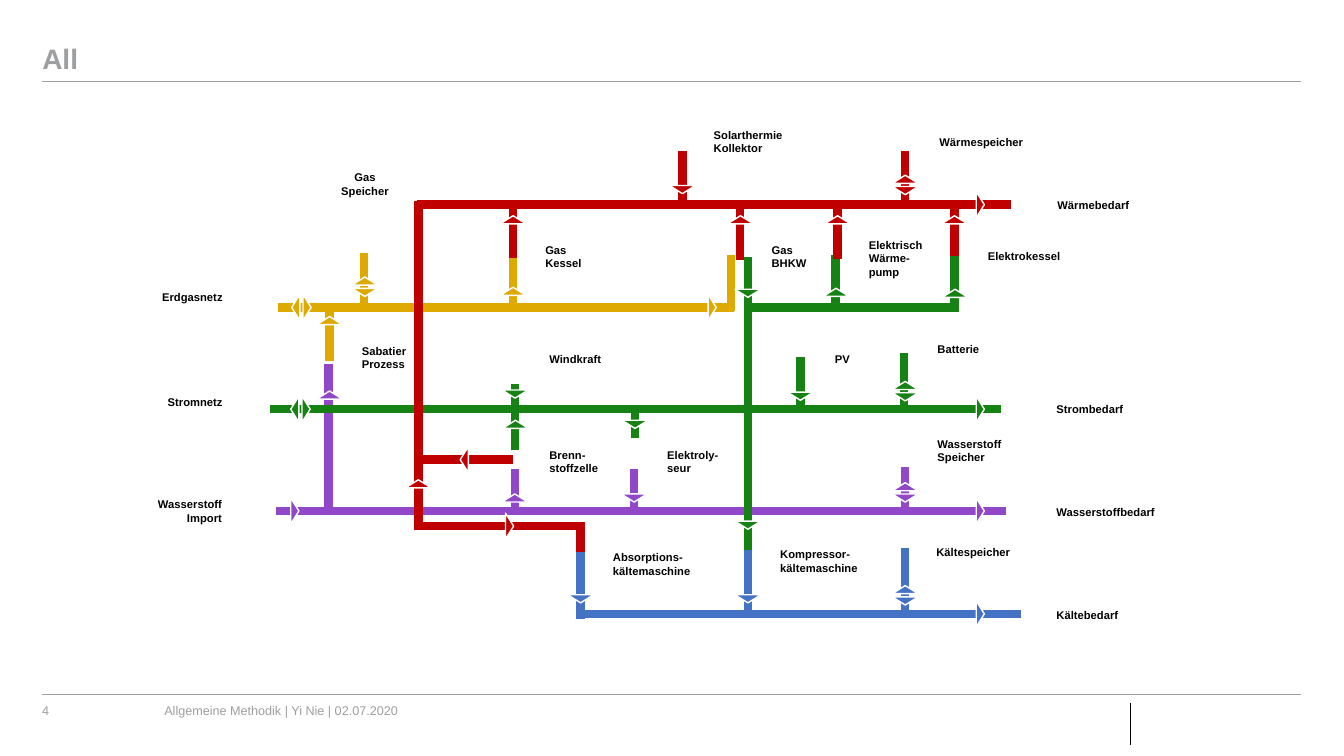
from lxml import etree
from pptx import Presentation
from pptx.dml.color import RGBColor
from pptx.enum import shapes, text
from pptx.oxml import ns
from pptx.util import Pt

GAS = RGBColor(0xDE, 0xA9, 0x00)
HYDROGEN = RGBColor(0x91, 0x48, 0xC8)
POWER = RGBColor(0x16, 0x82, 0x13)
HEAT = RGBColor(0xC0, 0x00, 0x00)
COLD = RGBColor(0x44, 0x72, 0xC4)
GREY = RGBColor(0x9D, 0x9E, 0xA0)
BLACK = RGBColor(0, 0, 0)
WHITE = RGBColor(255, 255, 255)

# Content: heights of the supply lines, and the column of the storages
GAS_Y, POWER_Y, HYDROGEN_Y, HEAT_Y, COLD_Y = 219.6, 292.3, 365, 146.2, 438.5
STORE_X, DEMAND_X = 646.6, 700.2

# Per network: horizontal pipes (y, x1, x2), vertical pipes (x, y1, y2),
# arrows (x, y, directions), where two directions make a pair
NETWORKS = [
    (GAS,
     [(GAS_Y, 198.7, 524.2)],
     [(366.5, 218.9, 180.7), (259.9, 218.9, 180.7), (235.4, 257.8, 219.6),
      (522, 222.5, 182.2)],
     [(260.6, 204.8, "ud"), (215.3, GAS_Y, "lr"), (235.4, 229, "u"),
      (366.5, 208.1, "u"), (508.7, GAS_Y, "r")]),
    (HYDROGEN,
     [(HYDROGEN_Y, 197.3, 718.6)],
     [(234.7, 365, 259.9), (367.9, 365, 334.8), (452.9, 365, 334.8),
      (STORE_X, 363.6, 333.4)],
     [(367.7, 355.7, "u"), (452.9, 355.7, "d"), (210.6, HYDROGEN_Y, "r"),
      (235.4, 282.2, "u"), (STORE_X, 351.7, "ud"),
      (DEMAND_X, HYDROGEN_Y, "r")]),
    (POWER,
     [(GAS_Y, 534.2, 684.7), (POWER_Y, 193, 715)],
     [(534.2, 222.5, 183.6), (367.9, 321.1, 292.3), (453.6, 313.2, 294.5),
      (571.7, 293.8, 254.9), (645.8, 290.9, 252), (681.8, 221, 182.2),
      (596.9, 220.3, 182.2), (534.2, 394.6, 216), (367.9, 293.8, 274.3)],
     [(STORE_X, 279.4, "ud"), (571.7, 283, "d"), (453.6, 303.1, "d"),
      (368.2, 303.1, "u"), (597.2, 208.8, "u"), (534.2, 209.5, "d"),
      (682.2, 209.5, "u"), (DEMAND_X, POWER_Y, "r"), (214.6, POWER_Y, "lr"),
      (534.2, 375.1, "d"), (367.9, 281.5, "d")]),
    (HEAT,
     [(HEAT_Y, 298.1, 722.2), (328.3, 299.5, 366.5), (375.8, 295.9, 416.9)],
     [(298.8, 377.3, 143.3), (414.7, 419.8, 373), (366.5, 184.3, 146.2),
      (528.5, 185.8, 146.9), (598.3, 185, 146.9), (STORE_X, 146.9, 108),
      (487.4, 146.2, 108), (681.8, 182.9, 144.7)],
     [(366.5, 157, "u"), (528.9, 157, "u"), (487.4, 135.4, "d"),
      (598.3, 157, "u"), (681.8, 157, "u"), (STORE_X, 132.1, "ud"),
      (DEMAND_X, HEAT_Y, "r"), (331.6, 328.3, "l"), (364, 375.8, "r"),
      (298.8, 345.6, "u")]),
    (COLD,
     [(COLD_Y, 411.8, 729.4)],
     [(414.7, 442.1, 394.6), (534.2, 439.9, 393.1), (STORE_X, 438.5, 391.7)],
     [(414.7, 427.7, "d"), (534.2, 427.7, "d"), (DEMAND_X, COLD_Y, "r"),
      (STORE_X, 425.2, "ud")]),
]

# Labels: left, top, width, lines; grouped by alignment
LABELS = {
    text.PP_ALIGN.LEFT: [
        (755.3, 141.8, 51.8, ["Wärmebedarf"]),
        (705.6, 178.2, 52.6, ["Elektrokessel"]),
        (669.6, 244.4, 30.2, ["Batterie"]),
        (596.4, 252, 10.8, ["PV"]),
        (392.4, 252, 37.4, ["Windkraft"]),
        (392.4, 319.9, 35.3, ["Brenn-", "stoffzelle"]),
        (476.6, 319.9, 36.7, ["Elektroly-", "seur"]),
        (258.5, 245.8, 32.4, ["Sabatier", "Prozess"]),
        (389.5, 173.5, 25.9, ["Gas", "Kessel"]),
        (551.2, 173.5, 25.2, ["Gas", "BHKW"]),
        (620.6, 170.2, 38.9, ["Elektrisch", "Wärme-", "pump"]),
        (669.6, 312, 46, ["Wasserstoff", "Speicher"]),
        (509.8, 91.6, 49.7, ["Solarthermie", "Kollektor"]),
        (437.8, 393.3, 56.2, ["Absorptions-", "kältemaschine"]),
        (557.3, 391.2, 56.2, ["Kompressor-", "kältemaschine"]),
        (668.9, 389.8, 53.3, ["Kältespeicher"]),
        (754.6, 434.4, 44.6, ["Kältebedarf"]),
        (754.6, 361, 71.3, ["Wasserstoffbedarf"]),
        (754.6, 287.5, 48.2, ["Strombedarf"]),
        (671, 96.7, 60.5, ["Wärmespeicher"]),
    ],
    text.PP_ALIGN.CENTER: [(243.4, 121.9, 34.6, ["Gas", "Speicher"])],
    text.PP_ALIGN.RIGHT: [
        (115.2, 207.6, 43.9, ["Erdgasnetz"]),
        (119.5, 282.5, 39.6, ["Stromnetz"]),
        (112.5, 355.3, 46.1, ["Wasserstoff", "Import"]),
    ],
}

# Footer: left, width, height, wording
FOOTER = [(117.4, 558.7, 33.8, "Allgemeine Methodik | Yi Nie | 02.07.2020"),
          (30.2, 69.1, 10.8, "4")]
# Rules: x1, y1, x2, y2, colour, weight
RULES = [(30.2, 58.3, 929.5, 58.3, GREY, 0.5),
         (30.2, 496.1, 929.5, 496.1, GREY, 0.5),
         (807.8, 501.8, 807.8, 532.1, BLACK, 0.75)]

ARROW_W, ARROW_H, PAIR_OFFSET, LINE_H = 18.5, 5.8, 4.05, 9.6
# Rotation and unit step of each arrow direction
DIRECTIONS = {"u": (0, 0, -1), "r": (90, 1, 0), "d": (180, 0, 1), "l": (270, -1, 0)}


def add_line(s, x1, y1, x2, y2, color, weight):
    c = s.shapes.add_connector(shapes.MSO_CONNECTOR.STRAIGHT,
                               Pt(x1), Pt(y1), Pt(x2), Pt(y2))
    c.line.color.rgb = color
    c.line.width = Pt(weight)
    etree.SubElement(c._element.spPr, ns.qn("a:effectLst"))


def add_arrow(s, x, y, direction, color):
    sp = s.shapes.add_shape(shapes.MSO_SHAPE.ISOSCELES_TRIANGLE,
                            Pt(x - ARROW_W / 2), Pt(y - ARROW_H / 2),
                            Pt(ARROW_W), Pt(ARROW_H))
    sp.rotation = DIRECTIONS[direction][0]
    sp.shadow.inherit = False
    sp.fill.solid()
    sp.fill.fore_color.rgb = color
    sp.line.color.rgb = WHITE
    sp.line.width = Pt(1)


def write(sp, lines, size, color, bold=False, align=None, wrap=True):
    tf = sp.text_frame
    tf.word_wrap = wrap
    tf.margin_left = tf.margin_right = tf.margin_top = tf.margin_bottom = 0
    for i, line in enumerate(lines):
        p = tf.add_paragraph() if i else tf.paragraphs[0]
        p.alignment = align or text.PP_ALIGN.LEFT
        r = p.add_run()
        r.text = line
        r.font.name = "Arial"
        r.font.size = Pt(size)
        r.font.bold = bold
        r.font.color.rgb = color
    return tf


prs = Presentation()
prs.slide_width, prs.slide_height = Pt(960), Pt(540)
s = prs.slides.add_slide(prs.slide_layouts[5])

# Title
title = s.shapes.title
title.left, title.top, title.width, title.height = Pt(30.2), Pt(11.5), Pt(899.3), Pt(42.5)
tf = write(title, ["All"], 20, GREY, bold=True)
tf.vertical_anchor = text.MSO_ANCHOR.BOTTOM
tf.auto_size = text.MSO_AUTO_SIZE.NONE
tf.paragraphs[0].line_spacing = 0.9

# Rules and footer
for rule in RULES:
    add_line(s, *rule)
for x, w, h, line in FOOTER:
    write(s.shapes.add_textbox(Pt(x), Pt(501.8), Pt(w), Pt(h)), [line], 9, GREY)

# Pipes
for color, rows, columns, arrows in NETWORKS:
    for y, x1, x2 in rows:
        add_line(s, x1, y, x2, y, color, 6)
    for x, y1, y2 in columns:
        add_line(s, x, y1, x, y2, color, 6)

# Labels
for align, labels in LABELS.items():
    for x, y, w, lines in labels:
        box = s.shapes.add_textbox(Pt(x), Pt(y), Pt(w), Pt(LINE_H * len(lines)))
        write(box, lines, 8, BLACK, bold=True, align=align, wrap=False)

# Flow arrows
for color, rows, columns, arrows in NETWORKS:
    for x, y, directions in arrows:
        offset = PAIR_OFFSET * (len(directions) - 1)
        for d in directions:
            angle, dx, dy = DIRECTIONS[d]
            add_arrow(s, x + dx * offset, y + dy * offset, d, color)

prs.save("out.pptx")
